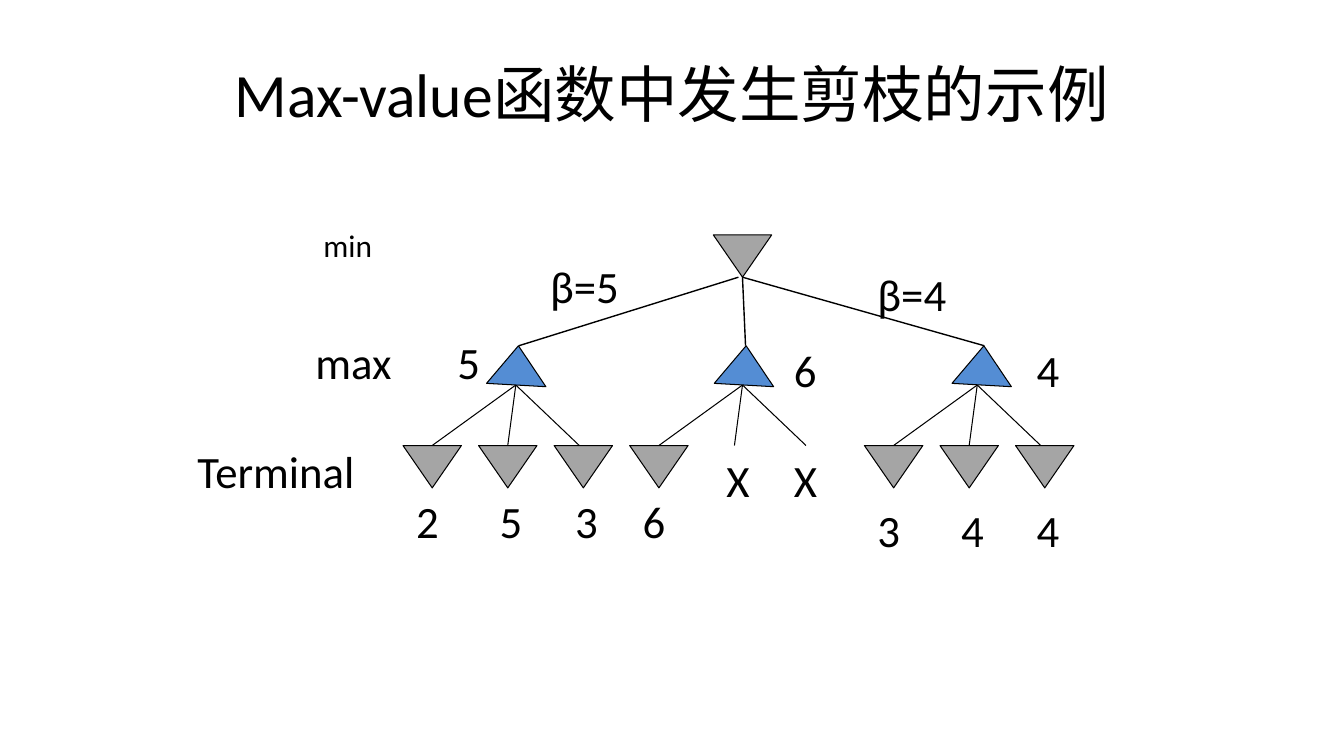
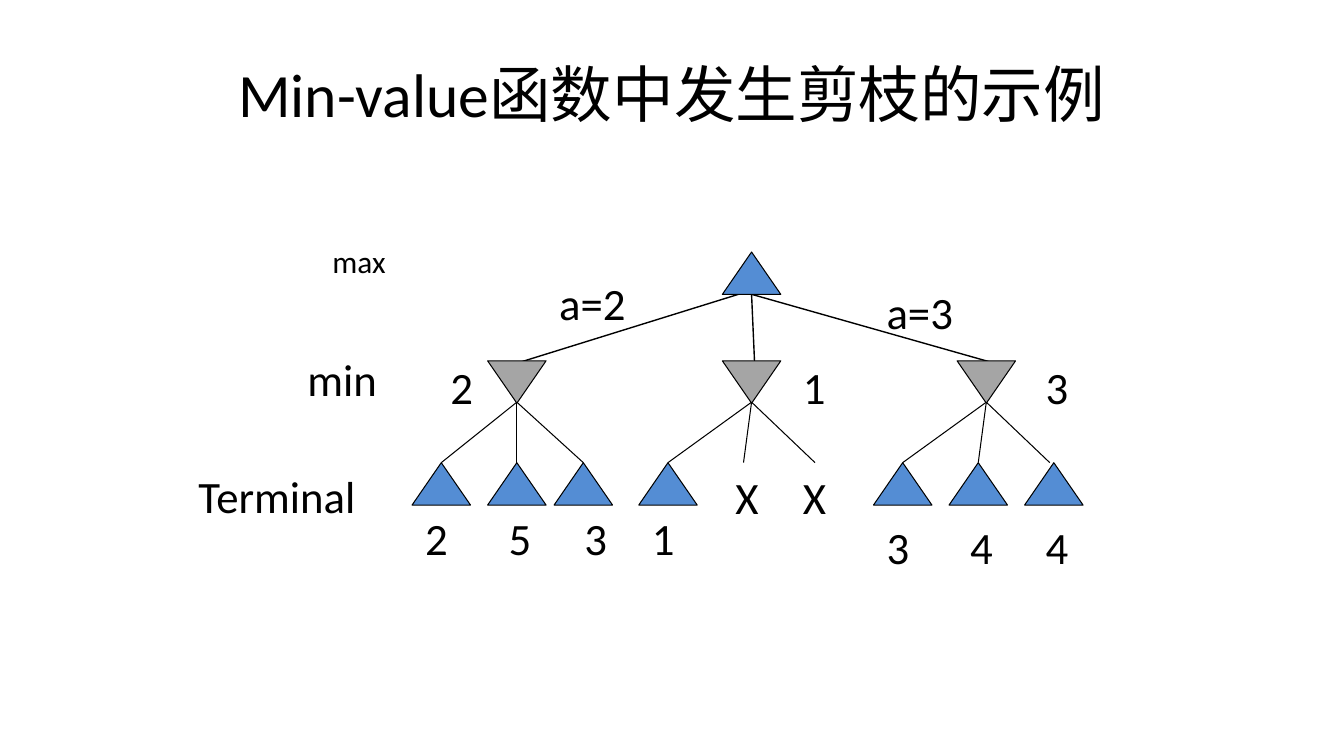
from dataclasses import dataclass

import pptx
import pptx.dml.color
import pptx.enum.shapes
import pptx.enum.text
import pptx.oxml
import pptx.util

Inches = pptx.util.Inches
Pt = pptx.util.Pt
RGB = pptx.dml.color.RGBColor.from_string


@dataclass(frozen=True)
class Theme:
    font: str = "Calibri"
    ink: str = "000000"
    max_fill: str = "548DD4"
    min_fill: str = "A5A5A5"
    title_size: float = 44
    body_size: float = 32
    root_label_size: float = 22.4
    edge_width: float = 1
    thin_width: float = 0.75


@dataclass(frozen=True)
class Tree:
    """One search tree; all positions are measured from its origin."""
    title: str
    origin: tuple
    root_kind: str
    branch_kind: str
    level_positions: tuple
    branch_lefts: tuple
    branch_top: float
    branch_size: tuple
    branch_tilt: float
    left_edge: tuple          # x at the root, x at the left branch
    left_fan: tuple           # start x, then the three end x
    third_leaf_left: float
    bounds: tuple
    branch_values: tuple
    left_value_position: tuple
    leaf_values: tuple


NODE_SIZE = (0.58, 0.42)
ROOT_LEFT, ROOT_TOP = 7.08, 2.33
ROOT_X, ROOT_BOTTOM, BRANCH_PEAK = 7.37, 2.75, 3.43
FAN_TOP, LEAF_TOP = 3.82, 4.42
FAN_ENDS = (-0.83, -0.08, 0.63)
FAN_STARTS = (7.37, 9.7)
LEAF_STEP = 0.75
VALUE_LEFTS = (4, 4.83, 5.58, 6.25, 8.58, 9.41, 10.16)
LEFT_VALUES = 4           # values on the upper of the two text rows

TREES = (
    Tree(
        title="Max-value函数中发生剪枝的示例", origin=(0, 0),
        root_kind="min", branch_kind="max",
        level_positions=((3.08, 2.17), (3, 3.25), (1.83, 4.33)),
        branch_lefts=(4.84, 7.1, 9.46), branch_top=3.43,
        branch_size=(0.59, 0.39), branch_tilt=3.2,
        left_edge=(7.33, 5.15), left_fan=(5.12, 4.29, 5.04, 5.75),
        third_leaf_left=5.5, bounds=("β=5", "β=4"),
        branch_values="564", left_value_position=(4.41, 3.25),
        leaf_values="2536344",
    ),
    Tree(
        title="Min-value函数中发生剪枝的示例", origin=(0.09, 0.17),
        root_kind="max", branch_kind="min",
        level_positions=((3.08, 2.16), (2.83, 3.25), (1.75, 4.41)),
        branch_lefts=(4.75, 7.08, 9.41), branch_top=3.41,
        branch_size=NODE_SIZE, branch_tilt=0,
        left_edge=(7.24, 5.05), left_fan=(5.04, 4.29, 5.04, 5.7),
        third_leaf_left=5.41, bounds=("a=2", "a=3"),
        branch_values="213", left_value_position=(4.25, 3.33),
        leaf_values="2531344",
    ),
)


class Deck:
    def __init__(self, theme):
        self.theme = theme
        self.presentation = pptx.Presentation()
        self.presentation.slide_width = Inches(13.34)
        self.presentation.slide_height = Inches(7.5)
        self.slide = None
        self.origin = (0, 0)

    def add_slide(self, title, origin):
        layout = self.presentation.slide_layouts[6]
        self.slide = self.presentation.slides.add_slide(layout)
        self.origin = (0, 0)
        frame = self.text(title, (0.67, 0.3), (12, 1.25), self.theme.title_size)
        frame.vertical_anchor = pptx.enum.text.MSO_ANCHOR.MIDDLE
        frame.paragraphs[0].alignment = pptx.enum.text.PP_ALIGN.CENTER
        self.origin = origin

    def place(self, x, y):
        """Turn a position measured from the origin into slide lengths."""
        return Inches(self.origin[0] + x), Inches(self.origin[1] + y)

    def text(self, wording, position, size=(0.5, 0.5), font_size=None):
        box = self.slide.shapes.add_textbox(
            *self.place(*position), *map(Inches, size))
        frame = box.text_frame
        frame.word_wrap = True
        frame.margin_left = frame.margin_right = Inches(0.13)
        frame.margin_top = frame.margin_bottom = Inches(0.07)
        paragraph = frame.paragraphs[0]
        paragraph.text = wording
        paragraph.font.name = self.theme.font
        paragraph.font.size = Pt(font_size or self.theme.body_size)
        paragraph.font.color.rgb = RGB(self.theme.ink)
        return frame

    def node(self, kind, position, size=NODE_SIZE, tilt=0):
        """Draw a max node pointing up or a min node pointing down."""
        shape = self.slide.shapes.add_shape(
            pptx.enum.shapes.MSO_SHAPE.ISOSCELES_TRIANGLE,
            *self.place(*position), *map(Inches, size))
        is_max = kind == "max"
        shape.rotation = tilt if is_max else 180 + tilt
        shape.shadow.inherit = False
        shape.fill.solid()
        shape.fill.fore_color.rgb = RGB(
            self.theme.max_fill if is_max else self.theme.min_fill)
        shape.line.color.rgb = RGB(self.theme.ink)
        shape.line.width = Pt(self.theme.thin_width)

    def edge(self, start, end, width):
        connector = self.slide.shapes.add_connector(
            pptx.enum.shapes.MSO_CONNECTOR.STRAIGHT,
            *self.place(*start), *self.place(*end))
        connector.line.color.rgb = RGB(self.theme.ink)
        connector.line.width = Pt(width)
        properties = connector._element.spPr
        properties.append(properties.makeelement(
            pptx.oxml.ns.qn("a:effectLst"), {}))


def draw_edges(deck, tree):
    root_edges = (tree.left_edge, (ROOT_X, 7.4), (ROOT_X, 9.77))
    for start, end in root_edges:
        deck.edge((start, ROOT_BOTTOM), (end, BRANCH_PEAK),
                  deck.theme.edge_width)
    fans = [tree.left_fan]
    fans += [(start, *(start + end for end in FAN_ENDS))
             for start in FAN_STARTS]
    for start, *ends in fans:
        for end in ends:
            deck.edge((start, FAN_TOP), (end, LEAF_TOP),
                      deck.theme.thin_width)


def draw_nodes(deck, tree):
    deck.node(tree.root_kind, (ROOT_LEFT, ROOT_TOP))
    for left in tree.branch_lefts:
        deck.node(tree.branch_kind, (left, tree.branch_top),
                  tree.branch_size, tree.branch_tilt)
    right_leaves = [8.58 + index * LEAF_STEP for index in range(3)]
    for left in (4, 4.75, tree.third_leaf_left, 6.25, *right_leaves):
        deck.node(tree.root_kind, (left, LEAF_TOP))


def draw_labels(deck, tree):
    root, branch, terminal = tree.level_positions
    deck.text(tree.root_kind, root, (1.17, 0.5), deck.theme.root_label_size)
    deck.text(tree.branch_kind, branch, (1.25, 0.5))
    deck.text("Terminal", terminal, (2, 0.5))
    for bound, position in zip(tree.bounds, ((5.33, 2.5), (8.58, 2.58))):
        deck.text(bound, position, (1.17, 0.5))
    value_positions = (tree.left_value_position, (7.75, 3.33), (10.16, 3.33))
    for value, position in zip(tree.branch_values, value_positions):
        deck.text(value, position)
    for left in (7.08, 7.75):
        deck.text("X", (left, LEAF_TOP))
    for index, (value, left) in enumerate(zip(tree.leaf_values, VALUE_LEFTS)):
        deck.text(value, (left, 4.83 if index < LEFT_VALUES else 4.92))


def main():
    deck = Deck(Theme())
    for tree in TREES:
        deck.add_slide(tree.title, tree.origin)
        draw_edges(deck, tree)
        draw_nodes(deck, tree)
        draw_labels(deck, tree)
    deck.presentation.save("out.pptx")


if __name__ == "__main__":
    main()
